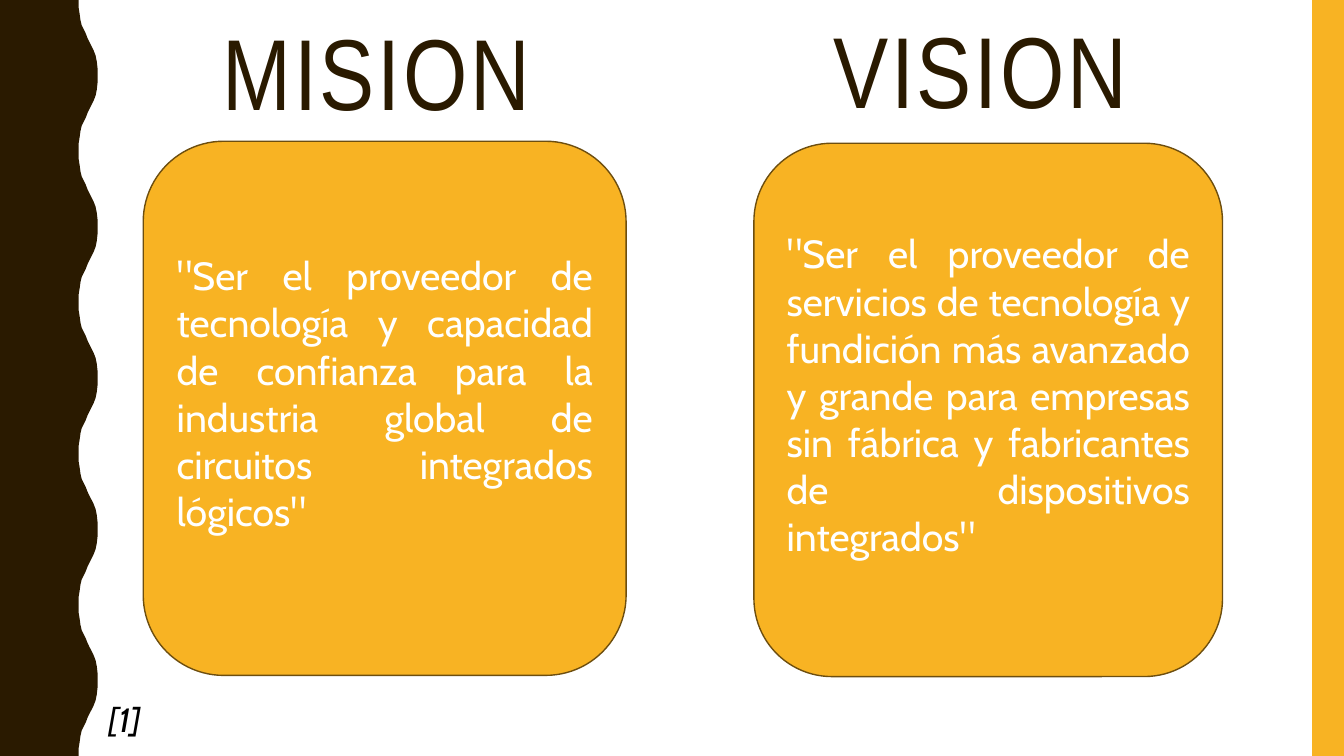
from pptx import Presentation
from pptx.dml.color import RGBColor
from pptx.enum.shapes import MSO_SHAPE
from pptx.enum.text import MSO_ANCHOR, PP_ALIGN
from pptx.util import Cm, Pt

RECTANGLE, ROUNDED = MSO_SHAPE.RECTANGLE, MSO_SHAPE.ROUNDED_RECTANGLE
TOP, MIDDLE = MSO_ANCHOR.TOP, MSO_ANCHOR.MIDDLE
LEFT, CENTER, JUSTIFY = PP_ALIGN.LEFT, PP_ALIGN.CENTER, PP_ALIGN.JUSTIFY

BROWN = RGBColor(0x2A, 0x1A, 0x00)
AMBER = RGBColor(0xF8, 0xB3, 0x23)
OUTLINE = RGBColor(0x6D, 0x4E, 0x0F)
WHITE = RGBColor(0xFF, 0xFF, 0xFF)
BLACK = RGBColor(0x00, 0x00, 0x00)

SLIDE_WIDTH, SLIDE_HEIGHT = 33.87, 19.05
WAVE_COUNT = 5
# Right edge of the band from a trough to the next crest, as (x, y) in cm
HALF_WAVE = [
    (1.98, 0), (1.98, 0.18), (2.01, 0.36), (2.03, 0.51), (2.06, 0.64),
    (2.11, 0.74), (2.16, 0.84), (2.21, 0.97), (2.26, 1.07), (2.31, 1.17),
    (2.36, 1.27), (2.41, 1.4), (2.44, 1.55), (2.46, 1.73), (2.46, 1.9),
]


def write_text(shape, text, *, font, size, color, align=LEFT, anchor=TOP,
               italic=False, tracking=0, line_spacing=None):
    frame = shape.text_frame
    frame.word_wrap = True
    frame.vertical_anchor = anchor
    paragraph = frame.paragraphs[0]
    paragraph.alignment = align
    if line_spacing:
        paragraph.line_spacing = line_spacing
    run = paragraph.add_run()
    run.text = text
    run.font.name = font
    run.font.size = Pt(size)
    run.font.italic = italic
    run.font.color.rgb = color
    if tracking:
        run.font._element.set("spc", str(tracking * 100))


def paint(shape, fill, outline=None):
    shape.shadow.inherit = False
    shape.fill.solid()
    shape.fill.fore_color.rgb = fill
    if outline is None:
        shape.line.fill.background()
    else:
        shape.line.color.rgb = outline
        shape.line.width = Pt(1)


def add_wavy_band(slide, left, top, height):
    period = height / WAVE_COUNT
    falling = [(x, period - y) for x, y in reversed(HALF_WAVE[1:-1])]
    wave = HALF_WAVE + falling
    edge = [(x, y + index * period) for index in range(WAVE_COUNT) for x, y in wave]
    edge += [(HALF_WAVE[0][0], height), (0, height)]
    builder = slide.shapes.build_freeform(Cm(left), Cm(top))
    builder.add_line_segments([(Cm(left + x), Cm(top + y)) for x, y in edge], close=True)
    paint(builder.convert_to_shape(), BROWN)


def add_side_bar(slide, left, top, width, height):
    bar = slide.shapes.add_shape(RECTANGLE, Cm(left), Cm(top), Cm(width), Cm(height))
    paint(bar, AMBER)


def add_statement(slide, left, top, width, height, heading, heading_rise, statement):
    """Place a heading above a rounded card that holds the statement."""
    title = slide.shapes.add_textbox(
        Cm(left + 1.75), Cm(top - heading_rise), Cm(8.66), Cm(3.3))
    write_text(title, heading, font="Arial Narrow", size=72, color=BROWN,
               anchor=MIDDLE, tracking=2, line_spacing=0.9)

    card = slide.shapes.add_shape(ROUNDED, Cm(left), Cm(top), Cm(width), Cm(height))
    paint(card, AMBER, OUTLINE)
    write_text(card, statement, font="Cabin", size=28, color=WHITE,
               align=JUSTIFY, anchor=MIDDLE)
    card.text_frame.margin_bottom = Cm(0.9)


def add_citation(slide, left, top, width, height):
    citation = slide.shapes.add_textbox(Cm(left), Cm(top), Cm(width), Cm(height))
    write_text(citation, "[1]", font="Cabin", size=24, color=BLACK,
               align=CENTER, italic=True)


def main():
    presentation = Presentation()
    presentation.slide_width = Cm(SLIDE_WIDTH)
    presentation.slide_height = Cm(SLIDE_HEIGHT)
    slide = presentation.slides.add_slide(presentation.slide_layouts[6])

    add_wavy_band(slide, 0, 0, SLIDE_HEIGHT)
    add_side_bar(slide, SLIDE_WIDTH - 0.8, 0, 0.8, SLIDE_HEIGHT)
    add_citation(slide, -0.61, 17.48, 7.49, 1.27)
    add_statement(
        slide, 3.61, 3.56, 12.17, 13.46, "MISION", 3.26,
        '"Ser el proveedor de tecnología y capacidad de confianza para la '
        'industria global de circuitos integrados lógicos"')
    add_statement(
        slide, 19, 3.61, 11.81, 13.44, "VISION", 3.36,
        '"Ser el proveedor de servicios de tecnología y fundición más avanzado '
        'y grande para empresas sin fábrica y fabricantes de dispositivos '
        'integrados"')
    presentation.save("out.pptx")


if __name__ == "__main__":
    main()
